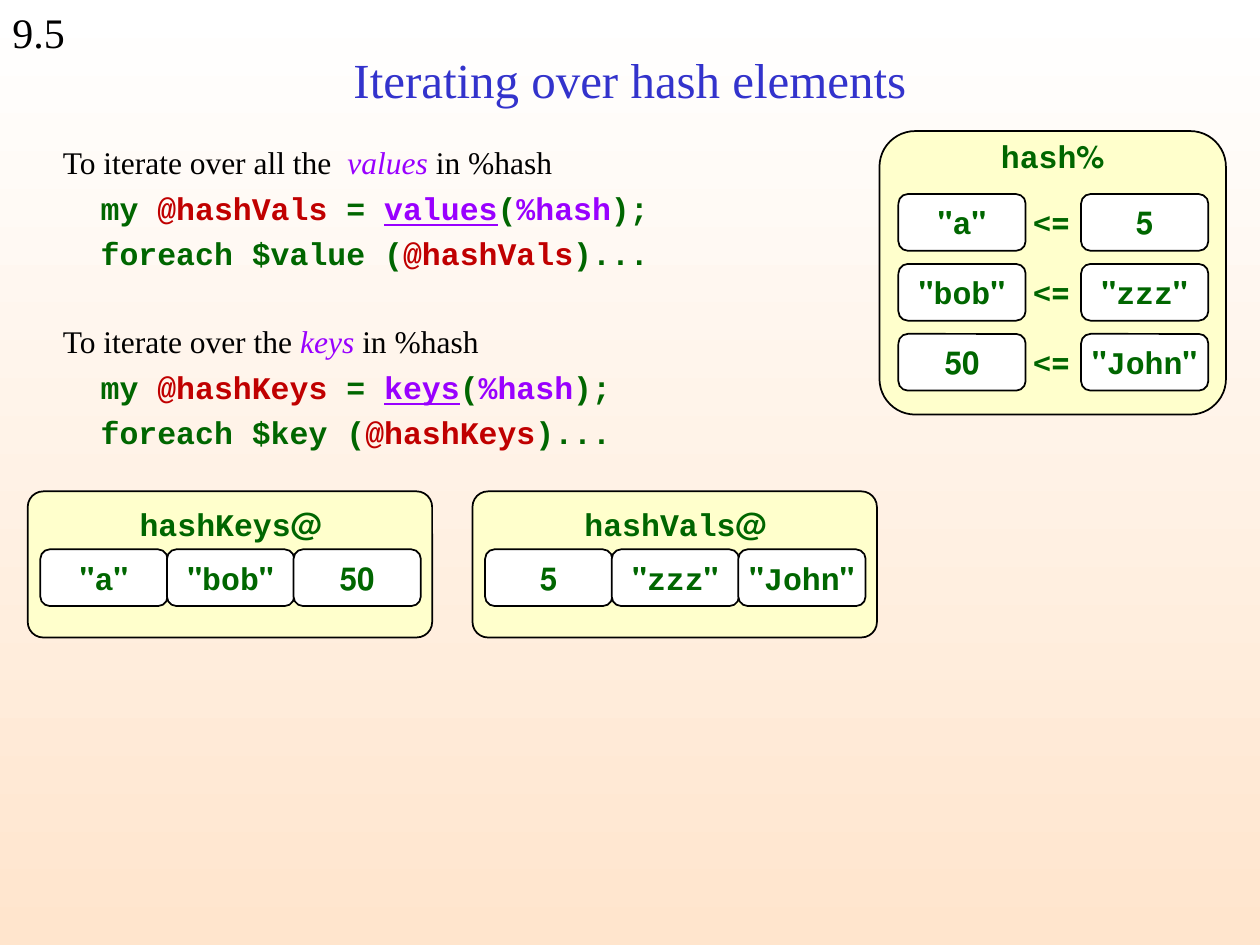
from pptx import Presentation
from pptx.dml.color import RGBColor
from pptx.enum.shapes import MSO_SHAPE
from pptx.enum.text import MSO_ANCHOR, PP_ALIGN
from pptx.util import Inches, Pt

ROUNDED = MSO_SHAPE.ROUNDED_RECTANGLE
CENTER = PP_ALIGN.CENTER
MIDDLE = MSO_ANCHOR.MIDDLE

BLACK = RGBColor(0x00, 0x00, 0x00)
WHITE = RGBColor(0xFF, 0xFF, 0xFF)
PEACH = RGBColor(0xFF, 0xE5, 0xCD)
CREAM = RGBColor(0xFF, 0xFF, 0xCC)
BLUE = RGBColor(0x33, 0x33, 0xCC)
GREEN = RGBColor(0x00, 0x66, 0x00)
RED = RGBColor(0xC0, 0x00, 0x00)
PURPLE = RGBColor(0x99, 0x00, 0xFF)

SERIF = "Times New Roman"
MONO = "Courier New"

CELL_WIDTH = 1.01
CELL_HEIGHT = 0.45
CELL_STEP = 1.005
ROW_STEP = 0.555

HASH = [('"a"', "5"), ('"bob"', '"zzz"'), ("50", '"John"')]


def add_span(para, text, font=SERIF, size=18, color=BLACK,
             bold=False, italic=False, underline=False):
    span = para.add_run()
    span.text = text
    span.font.name = font
    span.font.size = Pt(size)
    span.font.color.rgb = color
    span.font.bold = bold
    span.font.italic = italic
    span.font.underline = underline


def add_code(para, text, color=GREEN, underline=False):
    add_span(para, text, font=MONO, color=color, bold=True, underline=underline)


def write_rtl_code(box, text):
    para = box.text_frame.paragraphs[0]
    para.alignment = CENTER
    para._p.get_or_add_pPr().set("rtl", "1")
    add_code(para, text)


def add_text_box(shapes, left, top, width, height):
    box = shapes.add_textbox(Inches(left), Inches(top), Inches(width), Inches(height))
    box.text_frame.word_wrap = True
    return box


def add_label(shapes, text, left, top, width):
    write_rtl_code(add_text_box(shapes, left, top, width, 0.4), text)


def add_rounded(shapes, left, top, width, height, fill, corner):
    box = shapes.add_shape(ROUNDED, Inches(left), Inches(top), Inches(width), Inches(height))
    box.adjustments[0] = corner
    box.shadow.inherit = False
    box.fill.solid()
    box.fill.fore_color.rgb = fill
    box.line.color.rgb = BLACK
    box.line.width = Pt(1)
    return box


def add_cell(shapes, text, left, top):
    box = add_rounded(shapes, left, top, CELL_WIDTH, CELL_HEIGHT, WHITE, 0.167)
    box.text_frame.word_wrap = False
    box.text_frame.vertical_anchor = MIDDLE
    write_rtl_code(box, text)


def add_hash_diagram(page):
    shapes = page.shapes.add_group_shape().shapes
    add_rounded(shapes, 6.98, 1.04, 2.75, 2.25, CREAM, 0.126)
    add_label(shapes, "%hash", 6.82, 1.04, 3.07)
    for row, (key, value) in enumerate(HASH):
        top = 1.54 + row * ROW_STEP
        add_cell(shapes, value, 8.58, top)
        add_cell(shapes, key, 7.13, top)
        add_label(shapes, "=>", 7.79, top, 1.11)


def add_array_diagram(page, name, items, left):
    shapes = page.shapes.add_group_shape().shapes
    add_rounded(shapes, left, 3.9, 3.21, 1.16, CREAM, 0.106)
    add_label(shapes, name, left + 0.69, 3.96, 1.84)
    for column, item in enumerate(items):
        add_cell(shapes, item, left + 0.1 + column * CELL_STEP, 4.36)


def add_body_line(frame, indent=0, space_before=0):
    first = frame.paragraphs[0]
    para = frame.add_paragraph() if first.runs else first
    para.line_spacing = 1.2
    if space_before:
        para.space_before = Pt(space_before)
    if indent:
        properties = para._p.get_or_add_pPr()
        properties.set("marL", str(Inches(indent)))
        properties.set("indent", "0")
    return para


def add_example(frame, lead, function, array, variable, space_before=0):
    para = add_body_line(frame, space_before=space_before)
    add_span(para, lead)
    add_span(para, function + " ", color=PURPLE, italic=True)
    add_span(para, "in %hash")

    para = add_body_line(frame, indent=0.3)
    add_code(para, "my ")
    add_code(para, array, color=RED)
    add_code(para, " = ")
    add_code(para, function, color=PURPLE, underline=True)
    add_code(para, "(")
    add_code(para, "%hash", color=PURPLE)
    add_code(para, ");")

    para = add_body_line(frame, indent=0.3)
    add_code(para, f"foreach {variable} (")
    add_code(para, array, color=RED)
    add_code(para, ")...")


def set_background(page):
    fill = page.background.fill
    fill.gradient()
    fill.gradient_angle = 270
    for stop, color in zip(fill.gradient_stops, (WHITE, PEACH)):
        stop.color.rgb = color


def set_title(page, text):
    title = page.shapes.title
    title.left, title.top = Inches(0.75), Inches(0.17)
    title.width, title.height = Inches(8.5), Inches(0.91)
    title.text_frame.vertical_anchor = MIDDLE
    para = title.text_frame.paragraphs[0]
    para.alignment = CENTER
    add_span(para, text, size=28, color=BLUE)


def main():
    deck = Presentation()
    deck.slide_width, deck.slide_height = Inches(10), Inches(7.5)
    page = deck.slides.add_slide(deck.slide_layouts[5])
    set_background(page)

    number = add_text_box(page.shapes, 0, 0, 1.14, 0.5)
    add_span(number.text_frame.paragraphs[0], "9.5", size=24)
    set_title(page, "Iterating over hash elements")

    body = add_text_box(page.shapes, 0.4, 1.03, 8.99, 4.1).text_frame
    add_example(body, "To iterate over all the  ", "values", "@hashVals", "$value")
    add_example(body, "To iterate over the ", "keys", "@hashKeys", "$key", space_before=24.5)

    keys, values = zip(*HASH)
    add_hash_diagram(page)
    add_array_diagram(page, "@hashVals", values, 3.75)
    add_array_diagram(page, "@hashKeys", keys, 0.22)
    deck.save("out.pptx")


if __name__ == "__main__":
    main()
